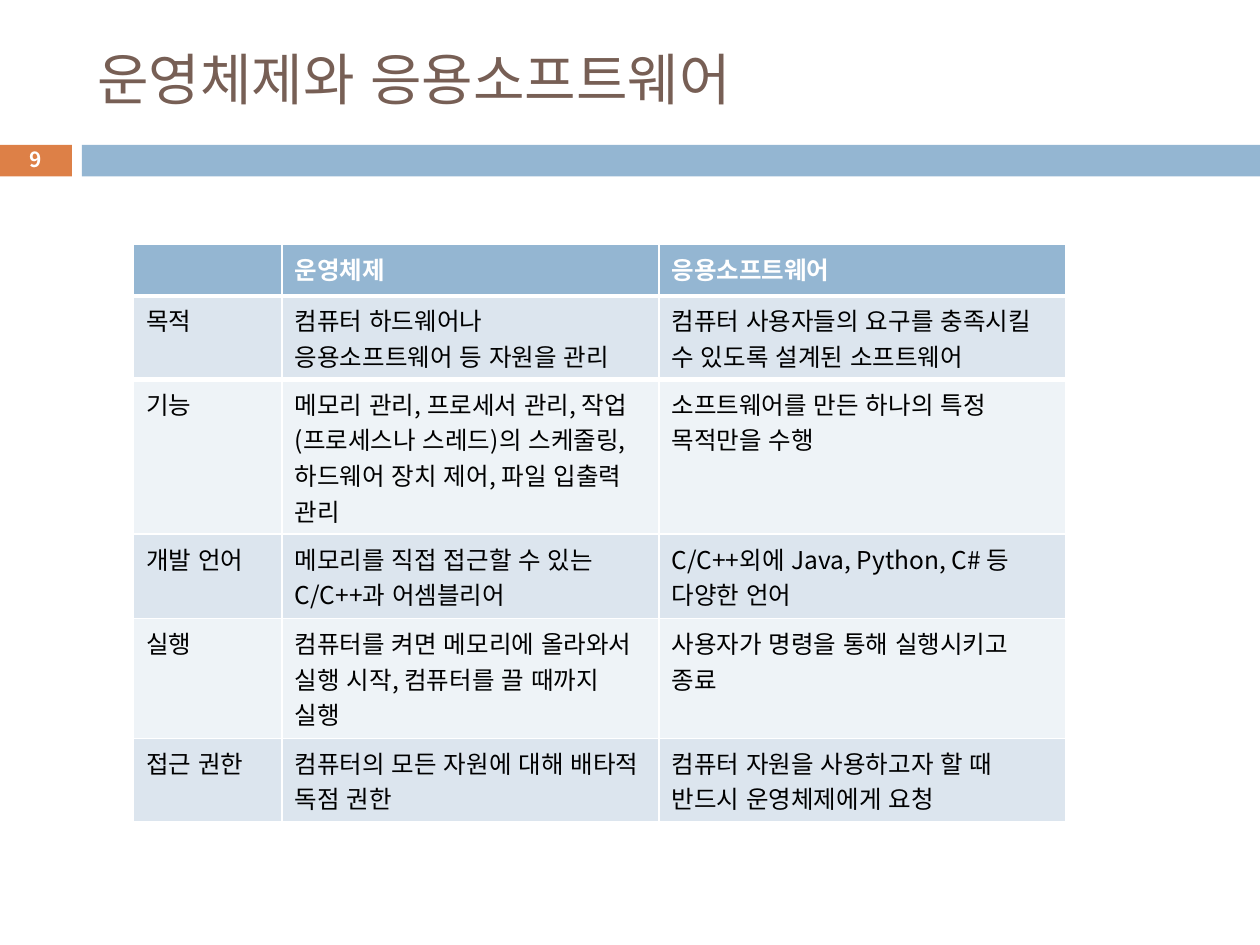
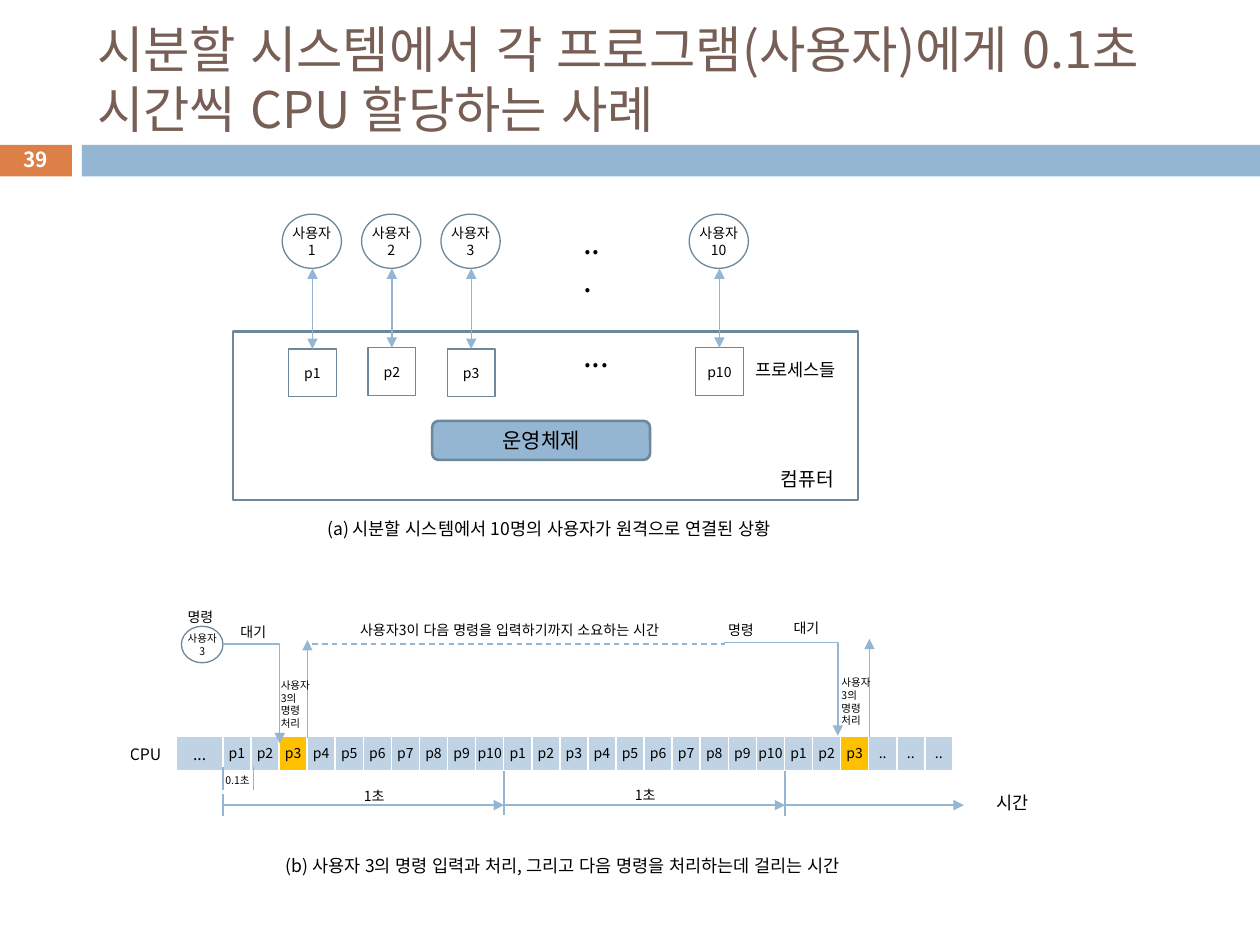
from dataclasses import dataclass

from lxml import etree
from pptx import Presentation
from pptx.dml.color import RGBColor
from pptx.enum.dml import MSO_LINE
from pptx.enum.lang import MSO_LANGUAGE_ID
from pptx.enum.shapes import MSO_CONNECTOR, MSO_SHAPE
from pptx.enum.text import MSO_ANCHOR, MSO_AUTO_SIZE, PP_ALIGN
from pptx.oxml.ns import qn
from pptx.util import Inches, Pt

LEFT, CENTER = PP_ALIGN.LEFT, PP_ALIGN.CENTER
MIDDLE = MSO_ANCHOR.MIDDLE
KOREAN = MSO_LANGUAGE_ID.KOREAN
RECT, ROUND, OVAL = MSO_SHAPE.RECTANGLE, MSO_SHAPE.ROUNDED_RECTANGLE, MSO_SHAPE.OVAL
STRAIGHT, ELBOW = MSO_CONNECTOR.STRAIGHT, MSO_CONNECTOR.ELBOW


@dataclass(frozen=True)
class Theme:
    font: str = "Noto Sans CJK KR"
    title: str = "775F55"
    accent: str = "DD8047"
    blue: str = "94B6D2"
    outline: str = "6D879B"
    band_dark: str = "DCE5EE"
    band_light: str = "EEF3F7"
    slot: str = "BFD3E4"
    highlight: str = "FFC000"
    text: str = "000000"
    white: str = "FFFFFF"
    number_size: float = 11.9
    table_size: float = 14
    dots_size: float = 18
    system_size: float = 12
    computer_size: float = 11
    caption_size: float = 10
    cpu_size: float = 9
    label_size: float = 8
    tiny_size: float = 6


THEME = Theme()


def write(frame, text, size, colour=THEME.text, align=LEFT, bold=False):
    """Fill a text frame, one paragraph for each line of text."""
    for index, line in enumerate(text.split("\n")):
        para = frame.add_paragraph() if index else frame.paragraphs[0]
        para.alignment = align
        span = para.add_run()
        span.text = line
        span.font.name = THEME.font
        span.font.size = Pt(size)
        span.font.bold = bold
        span.font.language_id = KOREAN
        span.font.color.rgb = RGBColor.from_string(colour)
        east_asian = etree.SubElement(span.font._element, qn("a:ea"))
        east_asian.set("typeface", THEME.font)


def add_shape(page, kind, place, fill=None, line_width=0):
    shape = page.shapes.add_shape(kind, *map(Inches, place))
    shape.shadow.inherit = False
    if fill:
        shape.fill.solid()
        shape.fill.fore_color.rgb = RGBColor.from_string(fill)
    else:
        shape.fill.background()
    if line_width:
        shape.line.color.rgb = RGBColor.from_string(THEME.outline)
        shape.line.width = Pt(line_width)
    else:
        shape.line.fill.background()
    frame = shape.text_frame
    frame.margin_left = frame.margin_right = frame.margin_top = frame.margin_bottom = 0
    frame.vertical_anchor = MIDDLE
    return shape


deck = Presentation()
deck.slide_width, deck.slide_height = Inches(10), Inches(7.5)

# Title, bands and page number on every slide
pages = []
for title, title_size, number in [
    ("운영체제와 응용소프트웨어", 32, "9"),
    ("시분할 시스템에서 각 프로그램(사용자)에게 0.1초 시간씩 CPU 할당하는 사례", 28.8, "39"),
]:
    page = deck.slides.add_slide(deck.slide_layouts[5])
    pages.append(page)
    add_shape(page, RECT, (-0.01, 1.15, 0.58, 0.25), THEME.accent)
    add_shape(page, RECT, (0.65, 1.15, 9.35, 0.25), THEME.blue)
    heading = page.shapes.title
    heading.left, heading.top = Inches(0.67), Inches(0.25)
    heading.width, heading.height = Inches(8.92), Inches(0.74)
    heading.text_frame.auto_size = MSO_AUTO_SIZE.NONE
    heading.text_frame.vertical_anchor = MIDDLE
    write(heading.text_frame, title, title_size, THEME.title)
    box = page.shapes.add_textbox(*map(Inches, (-0.01, 1.13, 0.58, 0.27)))
    box.text_frame.word_wrap = True
    box.text_frame.vertical_anchor = MIDDLE
    write(box.text_frame, number, THEME.number_size, THEME.white, CENTER, True)

comparison_page, sharing_page = pages

# Comparison table
comparison = [
    (0.41, "", "운영체제", "응용소프트웨어"),
    (0.66, "목적", "컴퓨터 하드웨어나 응용소프트웨어 등 자원을 관리",
     "컴퓨터 사용자들의 요구를 충족시킬 수 있도록 설계된 소프트웨어"),
    (1.23, "기능", "메모리 관리, 프로세서 관리, 작업(프로세스나 스레드)의 스케줄링, "
     "하드웨어 장치 제어, 파일 입출력 관리",
     "소프트웨어를 만든 하나의 특정 목적만을 수행"),
    (0.67, "개발 언어", "메모리를 직접 접근할 수 있는 C/C++과 어셈블리어",
     "C/C++외에 Java, Python, C# 등 다양한 언어"),
    (0.95, "실행", "컴퓨터를 켜면 메모리에 올라와서 실행 시작, 컴퓨터를 끌 때까지 실행",
     "사용자가 명령을 통해 실행시키고 종료"),
    (0.66, "접근 권한", "컴퓨터의 모든 자원에 대해 배타적 독점 권한",
     "컴퓨터 자원을 사용하고자 할 때 반드시 운영체제에게 요청"),
]
table_height = sum(height for height, *texts in comparison)
table = comparison_page.shapes.add_table(
    len(comparison), 3, *map(Inches, (1.06, 1.94, 7.4, table_height))).table
for column, width in zip(table.columns, (1.18, 2.99, 3.23)):
    column.width = Inches(width)
for row, (height, *texts) in enumerate(comparison):
    table.rows[row].height = Inches(height)
    header = row == 0
    fill = THEME.blue if header else THEME.band_dark if row % 2 else THEME.band_light
    for column, text in enumerate(texts):
        cell = table.cell(row, column)
        cell.margin_right = Inches(0.13)
        cell.fill.solid()
        cell.fill.fore_color.rgb = RGBColor.from_string(fill)
        if row < 2:
            # The rule under the header belongs to the cells on both its sides
            rule = etree.Element(qn("a:lnB" if header else "a:lnT"), w=str(Pt(3)))
            paint = etree.SubElement(rule, qn("a:solidFill"))
            etree.SubElement(paint, qn("a:srgbClr"), val=THEME.white)
            cell._tc.tcPr.insert(0, rule)
        if text:
            write(cell.text_frame, text, THEME.table_size,
                  THEME.white if header else THEME.text, bold=header)

# Users connected to processes inside the computer
add_shape(sharing_page, RECT, (1.85, 2.63, 4.96, 1.34), line_width=1.5)
lines = []  # kind, from, to, arrow ends, dashed
for number, left, top in [(1, 2.24, 2.77), (2, 2.87, 2.76), (3, 3.5, 2.77), (10, 5.47, 2.76)]:
    user = add_shape(sharing_page, OVAL, (left, 1.7, 0.47, 0.43), line_width=0.75)
    write(user.text_frame, f"사용자 {number}", THEME.label_size, align=CENTER)
    process = add_shape(sharing_page, RECT, (left + 0.05, top, 0.38, 0.38), line_width=0.75)
    write(process.text_frame, f"p{number}", THEME.label_size, align=CENTER)
    middle = left + 0.24
    lines.append((STRAIGHT, (middle, top), (middle, 2.13), ("headEnd", "tailEnd"), False))
system = add_shape(sharing_page, ROUND, (3.43, 3.34, 1.73, 0.31), THEME.blue, 1.5)
write(system.text_frame, "운영체제", THEME.system_size, align=CENTER)
user = add_shape(sharing_page, OVAL, (1.44, 4.97, 0.33, 0.29), line_width=0.75)
write(user.text_frame, "사용자 3", THEME.tiny_size, align=CENTER)

# CPU time slots
turn = [f"p{number}" for number in range(1, 11)]
slots = ["CPU", "..."] + turn * 2 + turn[:3] + [".."] * 3
command_slots = (4, 24)
lead_width, strip_left, strip_width = 0.37, 1.03, 6.54
slot_width = (strip_width - 2 * lead_width) / (len(slots) - 2)
strip = sharing_page.shapes.add_table(
    1, len(slots), *map(Inches, (strip_left, 5.84, strip_width, 0.28))).table
for index, text in enumerate(slots):
    strip.columns[index].width = Inches(lead_width if index < 2 else slot_width)
    cell = strip.cell(0, index)
    cell.margin_left = cell.margin_right = 0
    if index == 0:
        cell.fill.background()
    else:
        cell.fill.solid()
        cell.fill.fore_color.rgb = RGBColor.from_string(
            THEME.highlight if index in command_slots else THEME.slot)
    write(cell.text_frame, text, THEME.cpu_size if index < 2 else THEME.label_size,
          align=CENTER if index else LEFT)

# Time axis, commands and waiting
start = strip_left + 2 * lead_width
first_second, next_second = start + 10 * slot_width, start + 20 * slot_width
arrow = ("tailEnd",)
for x, top, bottom in [(start, 6.09, 6.27), (2.01, 6.09, 6.27), (start, 6.3, 6.48),
                       (first_second, 6.12, 6.47), (next_second, 6.12, 6.48)]:
    lines.append((STRAIGHT, (x, top), (x, bottom), (), False))
for left, right in [(start, first_second), (first_second, next_second), (next_second, 7.65)]:
    lines.append((STRAIGHT, (left, 6.39), (right, 6.39), arrow, False))
lines += [
    (ELBOW, (start, 5.11), (2.22, 5.9), arrow, False),
    (ELBOW, (5.75, 5.1), (6.65, 5.84), arrow, False),
    (STRAIGHT, (2.44, 5.86), (2.44, 5.08), arrow, False),
    (STRAIGHT, (6.9, 5.85), (6.9, 5.07), arrow, False),
    (STRAIGHT, (2.48, 5.11), (5.75, 5.11), (), True),
]
for kind, begin, end, arrow_ends, dashed in lines:
    connector = sharing_page.shapes.add_connector(kind, *map(Inches, begin + end))
    connector.line.color.rgb = RGBColor.from_string(THEME.blue)
    connector.line.width = Pt(0.79)
    if dashed:
        connector.line.dash_style = MSO_LINE.DASH
    properties = connector._element.spPr
    if kind == ELBOW:
        properties.find(qn("a:prstGeom")).set("prst", "bentConnector2")
    for arrow_end in arrow_ends:
        etree.SubElement(properties.find(qn("a:ln")), qn(f"a:{arrow_end}")).set("type", "triangle")
    etree.SubElement(properties, qn("a:effectLst"))

# Labels and captions
handling = "사용자\n3의\n명령\n처리"
for place, text, size in [
    ((4.53, 1.72, 0.37, 0.37), "...", THEME.dots_size),
    ((4.53, 2.62, 0.45, 0.49), "...", THEME.dots_size),
    ((5.9, 2.8, 0.9, 0.27), "프로세스들", THEME.caption_size),
    ((6.1, 3.66, 0.66, 0.29), "컴퓨터", THEME.computer_size),
    ((2.5, 4.06, 4.08, 0.27), "(a) 시분할 시스템에서 10명의 사용자가 원격으로 연결된 상황",
     THEME.caption_size),
    ((1.39, 4.78, 0.43, 0.24), "명령", THEME.label_size),
    ((1.81, 4.9, 0.43, 0.24), "대기", THEME.label_size),
    ((2.76, 4.88, 2.84, 0.24), "사용자3이 다음 명령을 입력하기까지 소요하는 시간",
     THEME.label_size),
    ((5.68, 4.88, 0.43, 0.24), "명령", THEME.label_size),
    ((6.2, 4.87, 0.43, 0.24), "대기", THEME.label_size),
    ((2.13, 5.34, 0.45, 0.5), handling, THEME.tiny_size),
    ((6.58, 5.32, 0.45, 0.5), handling, THEME.tiny_size),
    ((1.69, 6.09, 0.4, 0.2), "0.1초", THEME.tiny_size),
    ((2.79, 6.2, 0.38, 0.24), "1초", THEME.label_size),
    ((4.94, 6.19, 0.38, 0.24), "1초", THEME.label_size),
    ((7.81, 6.24, 0.48, 0.27), "시간", THEME.caption_size),
    ((2.17, 6.74, 5.04, 0.27),
     "(b) 사용자 3의 명령 입력과 처리, 그리고 다음 명령을 처리하는데 걸리는 시간",
     THEME.caption_size),
]:
    box = sharing_page.shapes.add_textbox(*map(Inches, place))
    box.text_frame.word_wrap = True
    write(box.text_frame, text, size)

deck.save("out.pptx")
